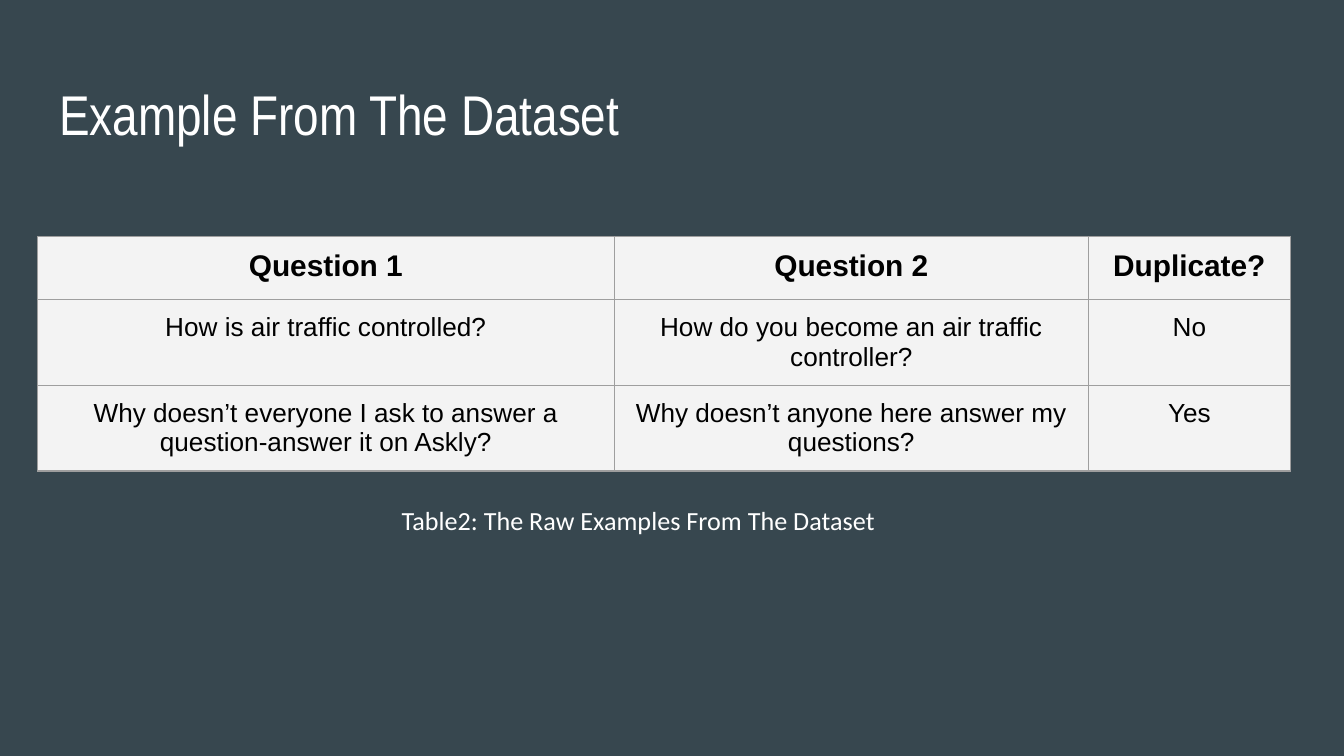
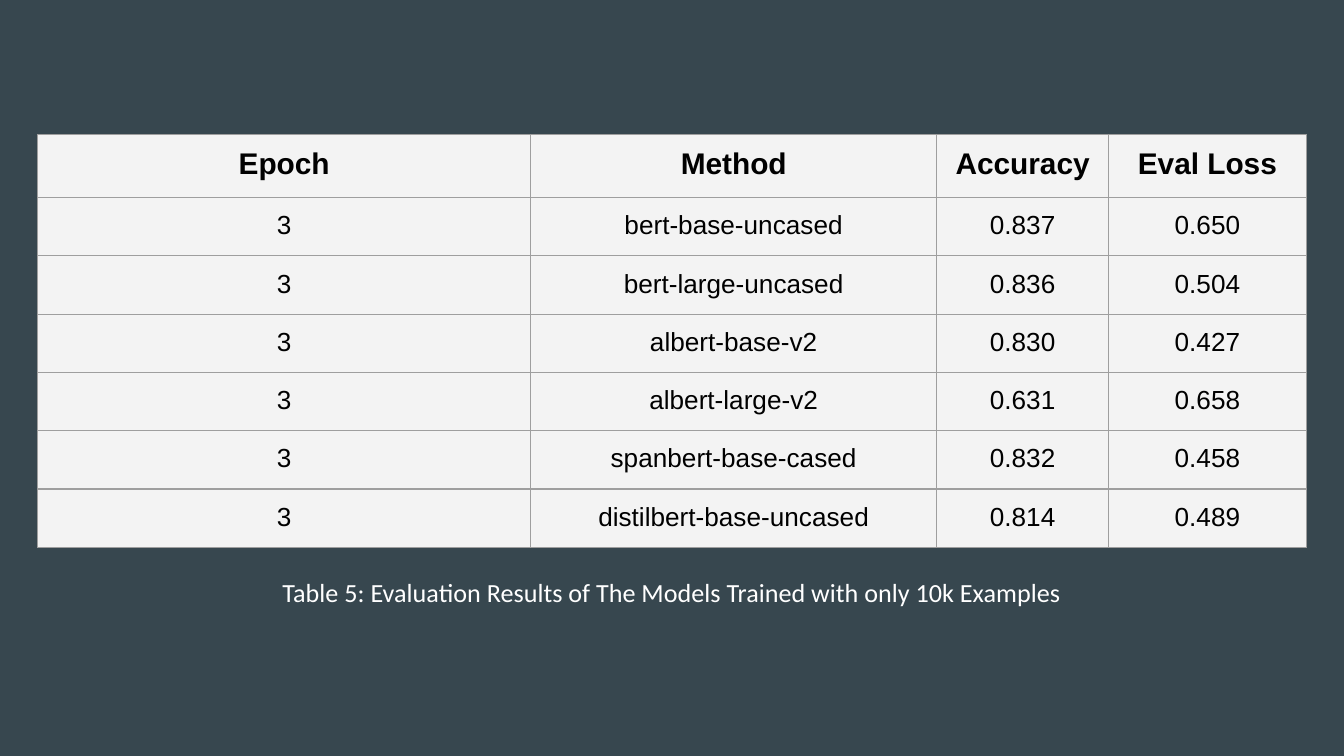
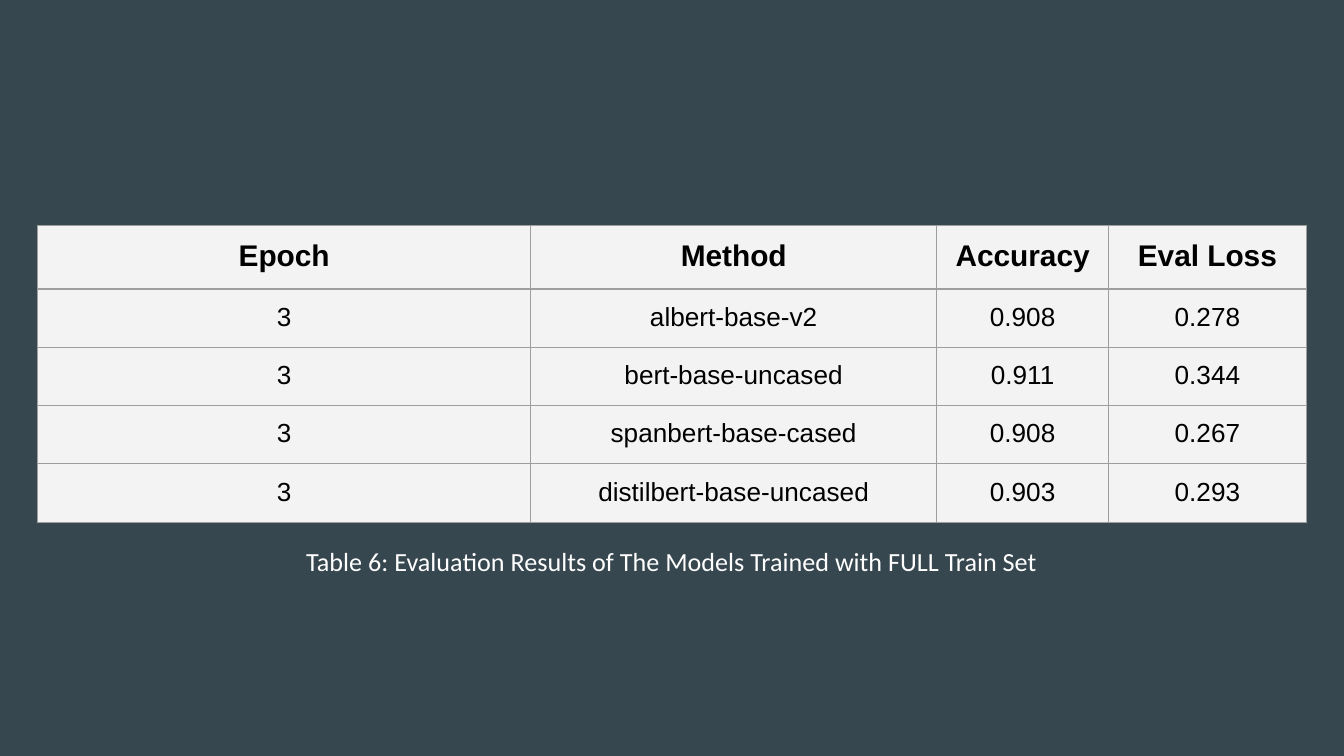
from lxml.etree import SubElement
from pptx import Presentation
from pptx.dml.color import RGBColor
from pptx.enum.text import MSO_ANCHOR, PP_ALIGN
from pptx.oxml.ns import qn
from pptx.util import Inches, Pt

SLATE = RGBColor(0x37, 0x47, 0x4F)
WHITE = RGBColor(0xFF, 0xFF, 0xFF)
BLACK = RGBColor(0x00, 0x00, 0x00)
CELL_GRAY = RGBColor(0xF3, 0xF3, 0xF3)
BORDER_GRAY = RGBColor(0x9E, 0x9E, 0x9E)

TITLE_ONLY, BLANK = 5, 6
INSET = Inches(0.1)
TABLE_LEFT = 0.28
HEADER_HEIGHT = 0.47
RESULT_WIDTHS = [3.67, 3.02, 1.28, 1.47]
RESULT_HEADER = ["Epoch", "Method", "Accuracy", "Eval Loss"]

QUESTION_WIDTHS = [4.29, 3.53, 1.5]
QUESTION_ROWS = [
    ["Question 1", "Question 2", "Duplicate?"],
    ["How is air traffic controlled?",
     "How do you become an air traffic controller?", "No"],
    ["Why doesn’t everyone I ask to answer a question-answer it on Askly?",
     "Why doesn’t anyone here answer my questions?", "Yes"],
]
SMALL_TRAINING_RESULTS = [
    ["3", "bert-base-uncased", "0.837", "0.650"],
    ["3", "bert-large-uncased", "0.836", "0.504"],
    ["3", "albert-base-v2", "0.830", "0.427"],
    ["3", "albert-large-v2", "0.631", "0.658"],
    ["3", "spanbert-base-cased", "0.832", "0.458"],
    ["3", "distilbert-base-uncased", "0.814", "0.489"],
]
FULL_TRAINING_RESULTS = [
    ["3", "albert-base-v2", "0.908", "0.278"],
    ["3", "bert-base-uncased", "0.911", "0.344"],
    ["3", "spanbert-base-cased", "0.908", "0.267"],
    ["3", "distilbert-base-uncased", "0.903", "0.293"],
]


def set_insets(target):
    target.margin_left = target.margin_right = INSET
    target.margin_top = target.margin_bottom = INSET


def format_paragraph(paragraph, font_name, size, color, alignment, bold=False):
    paragraph.alignment = alignment
    font = paragraph.font
    font.name = font_name
    font.size = Pt(size)
    font.bold = bold
    font.color.rgb = color


def fill_text(shape, text, font_name, size, alignment):
    frame = shape.text_frame
    frame.text = text
    frame.word_wrap = True
    frame.vertical_anchor = MSO_ANCHOR.TOP
    set_insets(frame)
    format_paragraph(frame.paragraphs[0], font_name, size, WHITE, alignment)


def set_title(slide, text):
    title = slide.shapes.title
    title.left, title.top = Inches(0.34), Inches(0.49)
    title.width, title.height = Inches(9.32), Inches(0.63)
    fill_text(title, text, "Arial Narrow", 30, PP_ALIGN.LEFT)


def add_caption(slide, text, left, top, width, height, alignment):
    caption = slide.shapes.add_textbox(
        Inches(left), Inches(top), Inches(width), Inches(height))
    fill_text(caption, text, "Calibri", 14, alignment)


def add_borders(cell):
    properties = cell._tc.get_or_add_tcPr()
    for side in ("a:lnL", "a:lnR", "a:lnT", "a:lnB"):
        line = SubElement(properties, qn(side), w=str(Pt(0.75)))
        fill = SubElement(line, qn("a:solidFill"))
        SubElement(fill, qn("a:srgbClr"), val=str(BORDER_GRAY))


def format_cell(cell, text, is_header):
    cell.text = text
    set_insets(cell)
    add_borders(cell)
    cell.fill.solid()
    cell.fill.fore_color.rgb = CELL_GRAY
    format_paragraph(cell.text_frame.paragraphs[0], "Arial",
                     16 if is_header else 14, BLACK, PP_ALIGN.CENTER, is_header)


def add_data_table(slide, rows, widths, top, body_height):
    body_count = len(rows) - 1
    heights = [HEADER_HEIGHT] + [body_height / body_count] * body_count
    table = slide.shapes.add_table(
        len(rows), len(widths), Inches(TABLE_LEFT), Inches(top),
        Inches(sum(widths)), Inches(HEADER_HEIGHT + body_height)).table
    table.first_row = False
    table.horz_banding = False
    for column, width in zip(table.columns, widths):
        column.width = Inches(width)
    for row_index, (row, height) in enumerate(zip(table.rows, heights)):
        row.height = Inches(height)
        for cell, text in zip(row.cells, rows[row_index]):
            format_cell(cell, text, row_index == 0)


def add_question_slide(presentation):
    slide = presentation.slides.add_slide(presentation.slide_layouts[TITLE_ONLY])
    set_title(slide, "Example From The Dataset")
    add_data_table(slide, QUESTION_ROWS, QUESTION_WIDTHS, 1.76, 0.84)
    add_caption(slide, "Table2: The Raw Examples From The Dataset",
                2.89, 3.65, 4.53, 0.42, PP_ALIGN.LEFT)


def add_result_slide(presentation, results, table_top, body_height,
                     caption, caption_top):
    slide = presentation.slides.add_slide(presentation.slide_layouts[BLANK])
    add_data_table(slide, [RESULT_HEADER] + results, RESULT_WIDTHS,
                   table_top, body_height)
    add_caption(slide, caption, TABLE_LEFT, caption_top,
                sum(RESULT_WIDTHS), 0.38, PP_ALIGN.CENTER)


def main():
    presentation = Presentation()
    presentation.slide_width = Inches(10)
    presentation.slide_height = Inches(10 * 9 / 16)
    background = presentation.slide_master.background.fill
    background.solid()
    background.fore_color.rgb = SLATE

    add_question_slide(presentation)
    add_result_slide(
        presentation, SMALL_TRAINING_RESULTS, 1, 2.55,
        "Table 5: Evaluation Results of The Models Trained with only 10k Examples",
        4.19)
    add_result_slide(
        presentation, FULL_TRAINING_RESULTS, 1.68, 1.7,
        "Table 6: Evaluation Results of The Models Trained with FULL Train Set",
        3.96)
    presentation.save("out.pptx")


if __name__ == "__main__":
    main()
